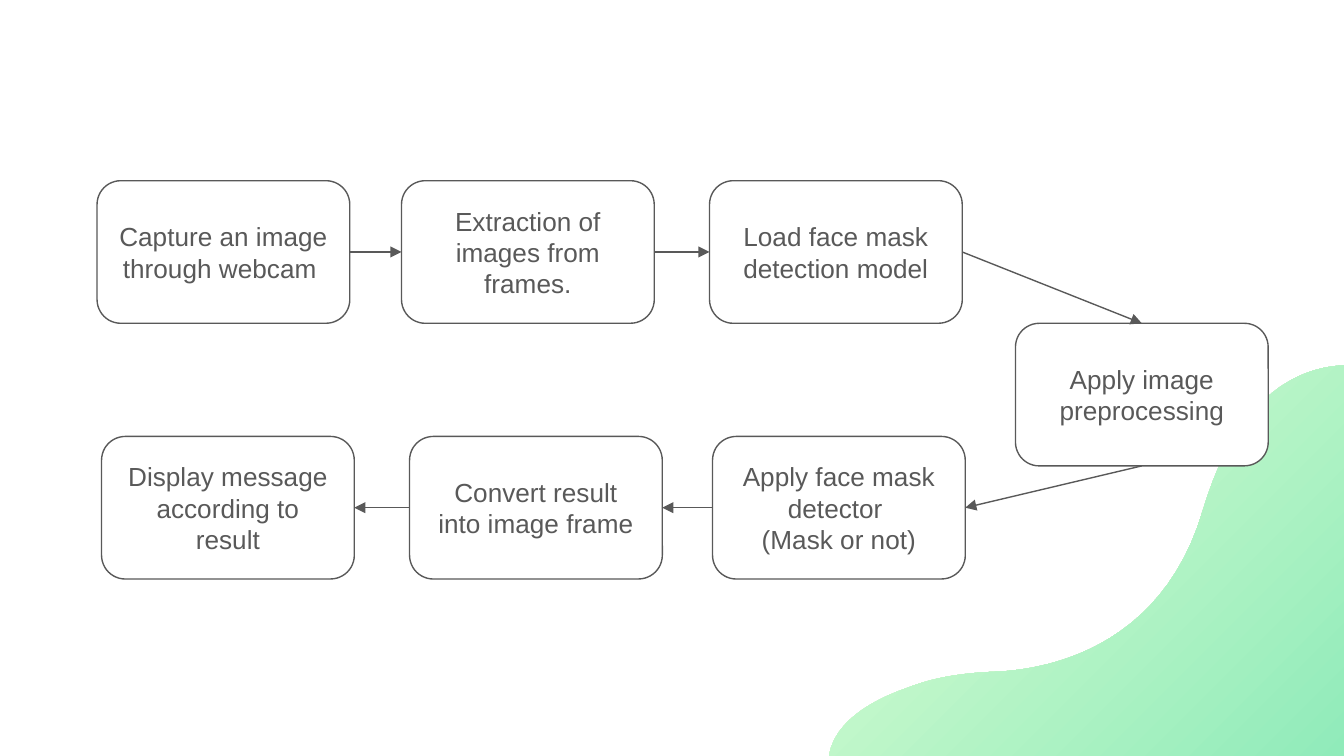
import pptx
import pptx.util
import pptx.dml.color
import pptx.enum.shapes
import pptx.enum.text
import pptx.oxml.ns
import pptx.oxml.xmlchemy

Pt = pptx.util.Pt
RGB = pptx.dml.color.RGBColor.from_string
theme = {
    "ink": RGB("595959"),
    "paper": RGB("FFFFFF"),
    "pale": RGB("E3FFD5"),
    "mint": RGB("90EBBA"),
    "font": "Arial",
    "size": Pt(14),
    "line": Pt(0.75),
}

deck = pptx.Presentation()
deck.slide_width, deck.slide_height = Pt(720), Pt(405)
slide = deck.slides.add_slide(deck.slide_layouts[6])
shapes = slide.shapes

start = (720, 195.8)
curves = [
    [(699.1, 196.6), (663.8, 208.1), (644.4, 273.6)],
    [(622.1, 349.2), (558, 359.3), (531.4, 360)],
    [(515.5, 360.7), (500.4, 362.9), (486, 368.6)],
    [(467.3, 375.1), (447.1, 386.6), (444.2, 405)],
]
steps = 24
edge = []
last = start
for one, two, end in curves:
    for step in range(1, steps + 1):
        t = step / steps
        u = 1 - t
        edge.append([
            Pt(u**3 * a + 3 * u * u * t * b + 3 * u * t * t * c + t**3 * d)
            for a, b, c, d in zip(last, one, two, end)
        ])
    last = end
edge.append((Pt(720), Pt(405)))

outline = shapes.build_freeform(Pt(start[0]), Pt(start[1]), scale=1.0)
outline.add_line_segments(edge, close=True)
wave = outline.convert_to_shape()
wave.shadow.inherit = False
wave.line.fill.background()
wave.fill.gradient()
wave.fill.gradient_angle = 315
for stop, tint, place in zip(wave.fill.gradient_stops, ("pale", "mint"), (0, 1)):
    stop.color.rgb = theme[tint]
    stop.position = place

wide, high = 135.4, 76.4
top, side, base = 96.8, 173.2, 233.8
stages = [
    (52, top, ["Capture an image through webcam "]),
    (215.1, top, ["Extraction of images from frames."]),
    (380.1, top, ["Load face mask detection model"]),
    (544, side, ["Apply image", "preprocessing"]),
    (381.7, base, ["Apply face mask detector ", "(Mask or not)"]),
    (219.4, base, ["Convert result into image frame"]),
    (54.4, base, ["Display message according to result"]),
]
boxes = []
for left, y, lines in stages:
    box = shapes.add_shape(
        pptx.enum.shapes.MSO_SHAPE.ROUNDED_RECTANGLE, Pt(left), Pt(y), Pt(wide), Pt(high)
    )
    box.shadow.inherit = False
    box.fill.solid()
    box.fill.fore_color.rgb = theme["paper"]
    box.line.color.rgb = theme["ink"]
    box.line.width = theme["line"]
    frame = box.text_frame
    frame.word_wrap = True
    frame.vertical_anchor = pptx.enum.text.MSO_ANCHOR.MIDDLE
    frame.margin_left = frame.margin_right = Pt(7.2)
    frame.margin_top = frame.margin_bottom = Pt(7.2)
    for i, line in enumerate(lines):
        para = frame.add_paragraph() if i else frame.paragraphs[0]
        para.alignment = pptx.enum.text.PP_ALIGN.CENTER
        run = para.add_run()
        run.text = line
        run.font.name = theme["font"]
        run.font.size = theme["size"]
        run.font.color.rgb = theme["ink"]
    boxes.append(box)

north, west, south, east = range(4)
ports = [(east, west), (east, west), (east, north), (south, east), (west, east), (west, east)]
for source, target, (leave, enter) in zip(boxes, boxes[1:], ports):
    arrow = shapes.add_connector(pptx.enum.shapes.MSO_CONNECTOR.STRAIGHT, 0, 0, 0, 0)
    arrow.begin_connect(source, leave)
    arrow.end_connect(target, enter)
    arrow.line.color.rgb = theme["ink"]
    arrow.line.width = theme["line"]
    tip = pptx.oxml.xmlchemy.OxmlElement("a:tailEnd")
    tip.set("type", "triangle")
    props = arrow._element.spPr
    props.find(pptx.oxml.ns.qn("a:ln")).append(tip)
    props.append(pptx.oxml.xmlchemy.OxmlElement("a:effectLst"))

deck.save("out.pptx")
